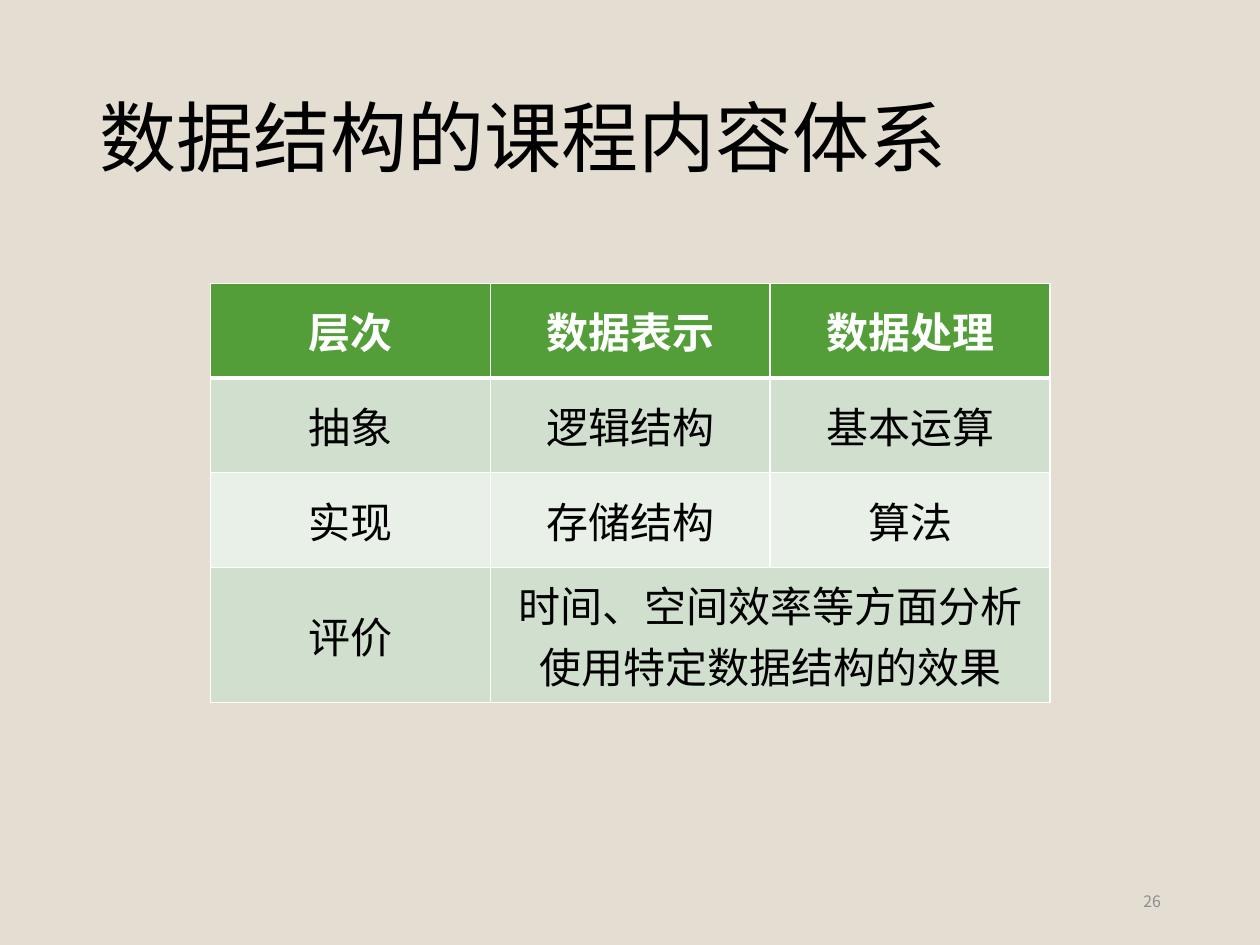
"""Build the course content slide with its table of levels."""
from lxml import etree
from pptx import Presentation
from pptx.dml.color import RGBColor
from pptx.enum import text
from pptx.oxml import ns
from pptx.util import Cm, Pt

FONT = "Noto Sans CJK SC"
COLORS = {
    "background": "E3DED1",
    "text": "000000",
    "number": "8C8C8C",
    "white": "FFFFFF",
    "header": "549E39",
    "odd": "D1DFCE",
    "even": "E9F0E8",
}


def add_text(tf, words, size, color, align, bold=False):
    tf.word_wrap = True
    tf.vertical_anchor = text.MSO_ANCHOR.MIDDLE
    p = tf.paragraphs[0]
    p.alignment = align
    r = p.add_run()
    r.text = words
    r.font.size = Pt(size)
    r.font.bold = bold
    r.font.name = FONT
    r.font.color.rgb = RGBColor.from_string(COLORS[color])
    etree.SubElement(r.font._element, ns.qn("a:ea"), typeface=FONT)
    return p


def add_border(cell, side, width):
    tcPr = cell._tc.get_or_add_tcPr()
    ln = etree.SubElement(tcPr, ns.qn(f"a:{side}"), w=str(Pt(width)))
    fill = etree.SubElement(ln, ns.qn("a:solidFill"))
    etree.SubElement(fill, ns.qn("a:srgbClr"), val=COLORS["white"])


prs = Presentation()
prs.slide_width, prs.slide_height = Cm(25.4), Cm(19.05)
s = prs.slides.add_slide(prs.slide_layouts[6])
s.background.fill.solid()
s.background.fill.fore_color.rgb = RGBColor.from_string(COLORS["background"])

title = s.shapes.add_textbox(Cm(1.75), Cm(1.01), Cm(21.9), Cm(3.68))
p = add_text(title.text_frame, "数据结构的课程内容体系", 44, "text", text.PP_ALIGN.LEFT)
p.line_spacing = 0.9

number = s.shapes.add_textbox(Cm(17.94), Cm(17.66), Cm(5.71), Cm(1.01))
add_text(number.text_frame, "26", 9, "number", text.PP_ALIGN.RIGHT)

rows = [
    ["层次", "数据表示", "数据处理"],
    ["抽象", "逻辑结构", "基本运算"],
    ["实现", "存储结构", "算法"],
    ["评价", "时间、空间效率等方面分析使用特定数据结构的效果", ""],
]
row_fills = ["header", "odd", "even", "odd"]
row_heights = [1.91, 1.91, 1.91, 2.72]

table = s.shapes.add_table(
    4, 3, Cm(4.24), Cm(5.71), Cm(16.93), Cm(sum(row_heights))
).table
table.cell(3, 1).merge(table.cell(3, 2))

for i, (row, fill, height) in enumerate(zip(rows, row_fills, row_heights)):
    table.rows[i].height = Cm(height)
    for j, words in enumerate(row):
        cell = table.cell(i, j)
        cell.vertical_anchor = text.MSO_ANCHOR.MIDDLE
        for side in ("lnL", "lnR", "lnT", "lnB"):
            heavy = (i, side) in ((0, "lnB"), (1, "lnT"))
            add_border(cell, side, 3 if heavy else 1)
        cell.fill.solid()
        cell.fill.fore_color.rgb = RGBColor.from_string(COLORS[fill])
        if words:
            color = "white" if i == 0 else "text"
            add_text(cell.text_frame, words, 24, color, text.PP_ALIGN.CENTER, i == 0)

prs.save("out.pptx")
